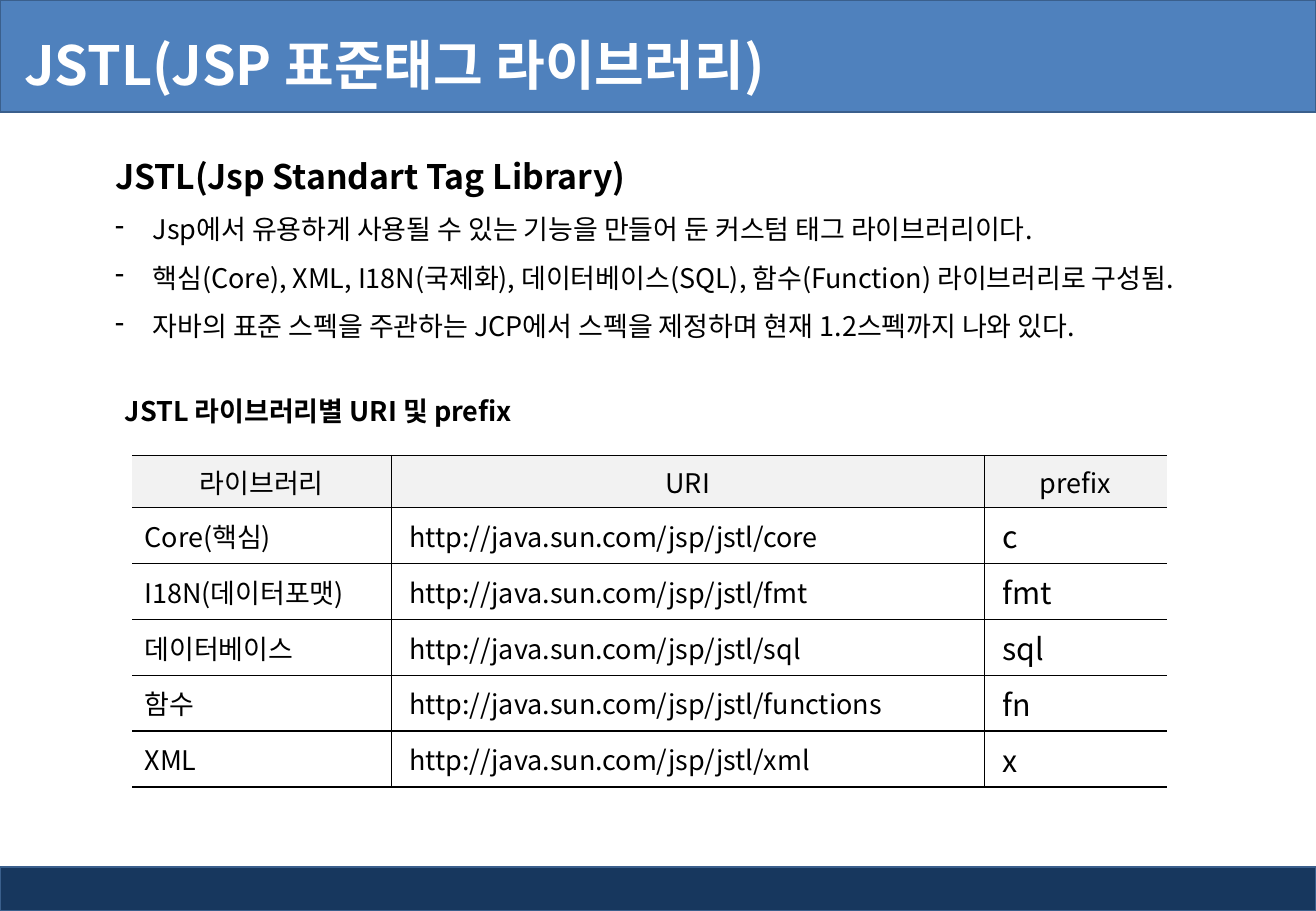
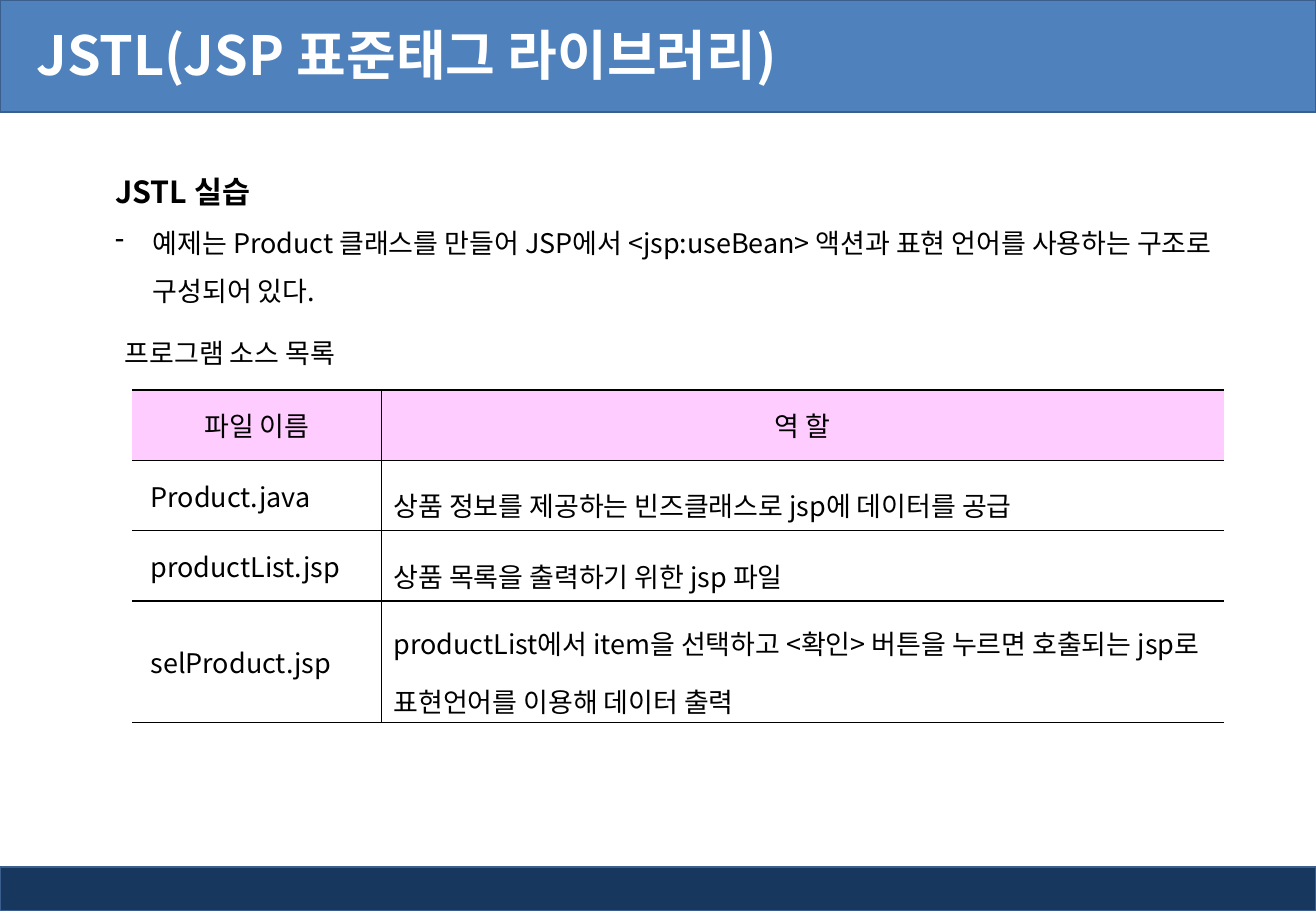
import pptx
import pptx.dml.color
import pptx.enum.shapes
import pptx.enum.text
import pptx.oxml
import pptx.oxml.ns
import pptx.oxml.xmlchemy
import pptx.util
from lxml import etree

Inches = pptx.util.Inches
Pt = pptx.util.Pt
ALIGN = pptx.enum.text.PP_ALIGN
MIDDLE = pptx.enum.text.MSO_ANCHOR.MIDDLE

# Shared look
WIDTH, HEIGHT = 10.83, 7.5
FONT = "Noto Sans CJK KR"
BLACK, WHITE = "000000", "FFFFFF"
BAND_LINE = "3A5F8C"
BANDS = [  # top, height, fill
    (7.14, 0.36, "17375E"),
    (0, 0.92, "4F81BD"),
]
TITLE = "JSTL(JSP 표준태그 라이브러리)"
BODY_SIZE, HANGING = 16, 0.31
TEXT_LEFT, CAPTION_LEFT, TABLE_LEFT = 0.85, 0.93, 1.09
CELL_INSET, WIDE_INSET = 0.1, 0.15

# Content
SLIDES = [
    {
        "title": {"top": 0.06, "inset": 0.2},
        "heading": ("JSTL(Jsp Standart Tag Library)", 20),
        "points": [
            "Jsp에서 유용하게 사용될 수 있는 기능을 만들어 둔 커스텀 태그 라이브러리이다.",
            "핵심(Core), XML, I18N(국제화), 데이터베이스(SQL), 함수(Function) 라이브러리로 구성됨.",
            "자바의 표준 스펙을 주관하는 JCP에서 스펙을 제정하며 현재 1.2스펙까지 나와 있다.",
        ],
        "text": {"top": 1.07, "width": 9.76, "height": 1.82},
        "caption": {"text": "JSTL 라이브러리별 URI 및 prefix", "top": 3.2,
                    "width": 4.33, "bold": True},
        "table": {
            "top": 3.75,
            "header_fill": "F2F2F2",
            "columns": [2.13, 4.88, 1.5],
            "heights": [0.43] + [0.46] * 5,
            "insets": [CELL_INSET, WIDE_INSET, WIDE_INSET],
            "sizes": [16, 16, 18],
            "spacings": [1, 1, 1],
            "rows": [
                ("라이브러리", "URI", "prefix"),
                ("Core(핵심)", "http://java.sun.com/jsp/jstl/core", "c"),
                ("I18N(데이터포맷)", "http://java.sun.com/jsp/jstl/fmt", "fmt"),
                ("데이터베이스", "http://java.sun.com/jsp/jstl/sql", "sql"),
                ("함수", "http://java.sun.com/jsp/jstl/functions", "fn"),
                ("XML", "http://java.sun.com/jsp/jstl/xml", "x"),
            ],
        },
    },
    {
        "title": {"top": -0.03, "inset": 0.3},
        "heading": ("JSTL 실습", 18),
        "points": [
            "예제는 Product 클래스를 만들어 JSP에서 <jsp:useBean> 액션과 표현 언어를 "
            "사용하는 구조로 구성되어 있다.",
        ],
        "text": {"top": 1.23, "width": 9.29, "height": 1.41},
        "caption": {"text": "프로그램 소스 목록", "top": 2.72,
                    "width": 2.44, "bold": False},
        "table": {
            "top": 3.21,
            "header_fill": "FFCCFF",
            "columns": [2.05, 6.93],
            "heights": [0.58] * 3 + [1],
            "insets": [WIDE_INSET, CELL_INSET],
            "sizes": [16, 16],
            "spacings": [1, 1.5],
            "rows": [
                ("파일 이름", "역 할"),
                ("Product.java", "상품 정보를 제공하는 빈즈클래스로 jsp에 데이터를 공급"),
                ("productList.jsp", "상품 목록을 출력하기 위한 jsp 파일"),
                ("selProduct.jsp", "productList에서 item을 선택하고 <확인> 버튼을 누르면 "
                                   "호출되는 jsp로 표현언어를 이용해 데이터 출력"),
            ],
        },
    },
]


def rgb(color):
    return pptx.dml.color.RGBColor.from_string(color)


def add_child(parent, tag, **attributes):
    child = etree.SubElement(parent, pptx.oxml.ns.qn(tag))
    for name, value in attributes.items():
        child.set(name, str(value))
    return child


def format_runs(paragraph, size, color=BLACK, bold=False):
    for run in paragraph.runs:
        run.font.size, run.font.bold, run.font.name = Pt(size), bold, FONT
        run.font.color.rgb = rgb(color)
        add_child(run.font._element, "a:ea", typeface=FONT)


def add_text_box(slide, left, top, width, height):
    box = slide.shapes.add_textbox(*map(Inches, (left, top, width, height)))
    box.text_frame.word_wrap = True
    return box.text_frame


def add_bands(layout, slide):
    """Draw the bands once and hand them to the layout."""
    for placeholder in list(layout.placeholders):
        layout.shapes.element.remove(placeholder.element)
    bands = []
    for top, height, fill in BANDS:
        band = slide.shapes.add_shape(
            pptx.enum.shapes.MSO_SHAPE.RECTANGLE,
            *map(Inches, (0, top, WIDTH, height)))
        band.shadow.inherit = False
        band.fill.solid()
        band.fill.fore_color.rgb = rgb(fill)
        band.line.color.rgb = rgb(BAND_LINE)
        band.line.width = Pt(1)
        bands.append(band)
    for band in bands:
        layout.shapes.element.append(band.element)


def add_title(slide, top, inset):
    frame = add_text_box(slide, 0, top, 8.74, 0.94)
    frame.margin_left = Inches(inset)
    frame.vertical_anchor = MIDDLE
    frame.text = TITLE
    format_runs(frame.paragraphs[0], 32, WHITE, True)


def add_body(slide, heading, points, top, width, height):
    frame = add_text_box(slide, TEXT_LEFT, top, width, height)
    frame.auto_size = pptx.enum.text.MSO_AUTO_SIZE.SHAPE_TO_FIT_TEXT
    text, size = heading
    frame.text = "\n".join([text] + points)
    for index, paragraph in enumerate(frame.paragraphs):
        paragraph.line_spacing = 1.5
        if index:
            properties = paragraph._p.get_or_add_pPr()
            properties.set("marL", str(Inches(HANGING)))
            properties.set("indent", str(-Inches(HANGING)))
            add_child(properties, "a:buChar", char="-")
        format_runs(paragraph, BODY_SIZE if index else size, bold=not index)


def add_caption(slide, text, top, width, bold):
    frame = add_text_box(slide, CAPTION_LEFT, top, width, 0.37)
    frame.auto_size = pptx.enum.text.MSO_AUTO_SIZE.SHAPE_TO_FIT_TEXT
    frame.text = text
    format_runs(frame.paragraphs[0], BODY_SIZE, bold=bold)


def set_borders(cell, left, right):
    """Rule above and below; left and right only between columns."""
    sides = [("L", left), ("R", right), ("T", True), ("B", True)]
    for side, visible in sides:
        line = add_child(cell._tc.get_or_add_tcPr(), f"a:ln{side}", w=Pt(1))
        if visible:
            add_child(add_child(line, "a:solidFill"), "a:srgbClr", val=BLACK)
        else:
            add_child(line, "a:noFill")


def add_table(slide, top, header_fill, columns, heights, insets, sizes,
              spacings, rows):
    table = slide.shapes.add_table(
        len(rows), len(columns),
        *map(Inches, (TABLE_LEFT, top, sum(columns), sum(heights)))).table
    table.first_row = table.horz_banding = False
    for column, width in zip(table.columns, columns):
        column.width = Inches(width)
    for row, height in zip(table.rows, heights):
        row.height = Inches(height)

    for row_index, texts in enumerate(rows):
        is_header = row_index == 0
        for index, text in enumerate(texts):
            cell = table.cell(row_index, index)
            cell.text = text
            cell.vertical_anchor = MIDDLE
            cell.margin_left = Inches(CELL_INSET if is_header else insets[index])
            cell.margin_top = cell.margin_bottom = Inches(0.02)
            # Borders precede the fill in the cell properties
            set_borders(cell, index > 0, index < len(columns) - 1)
            paragraph = cell.text_frame.paragraphs[0]
            if is_header:
                cell.fill.solid()
                cell.fill.fore_color.rgb = rgb(header_fill)
                paragraph.alignment = ALIGN.CENTER
            else:
                cell.fill.background()
                paragraph.line_spacing = float(spacings[index])
            format_runs(paragraph, BODY_SIZE if is_header else sizes[index])


def main():
    presentation = pptx.Presentation()
    presentation.slide_width = Inches(WIDTH)
    presentation.slide_height = Inches(HEIGHT)
    blank = presentation.slide_layouts[6]
    for index, content in enumerate(SLIDES):
        slide = presentation.slides.add_slide(blank)
        if index == 0:
            add_bands(blank, slide)
        add_title(slide, **content["title"])
        add_body(slide, content["heading"], content["points"], **content["text"])
        add_table(slide, **content["table"])
        add_caption(slide, **content["caption"])
    presentation.save("out.pptx")


if __name__ == "__main__":
    main()
